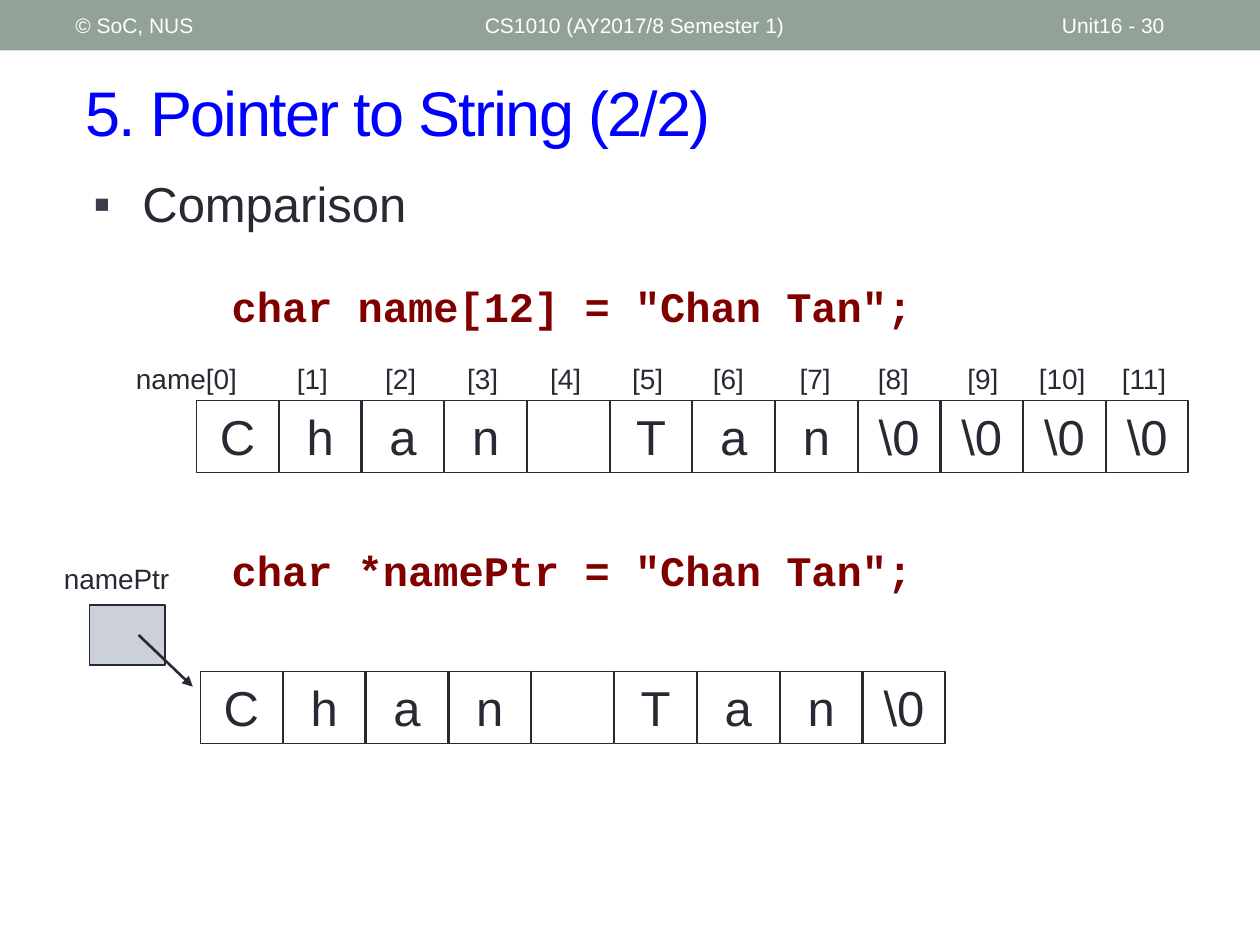
from dataclasses import dataclass

from pptx import Presentation
from pptx.dml.color import RGBColor
from pptx.enum.shapes import MSO_CONNECTOR, MSO_SHAPE
from pptx.enum.text import MSO_ANCHOR, MSO_AUTO_SIZE, PP_ALIGN
from pptx.oxml.ns import qn
from pptx.util import Inches, Pt
from lxml.etree import SubElement

BANNER = RGBColor(0x93, 0xA2, 0x99)
INK = RGBColor(0x29, 0x29, 0x34)
BLUE = RGBColor(0x00, 0x00, 0xFF)
MAROON = RGBColor(0x80, 0x00, 0x00)
POINTER_FILL = RGBColor(0xCC, 0xD1, 0xD9)
WHITE = RGBColor(0xFF, 0xFF, 0xFF)


def text_format(size: float, color: RGBColor, name: str = "Arial", bold: bool = False) -> dict:
    return {"size": Pt(size), "color": color, "name": name, "bold": bold}


TITLE = text_format(36, BLUE)
BULLET = text_format(28, INK)
CELL = text_format(28, INK)
LABEL = text_format(16, INK)
HEADER = text_format(12, WHITE)
CODE = text_format(24, MAROON, "Courier New", True)


@dataclass
class Area:
    left: float
    top: float
    width: float
    height: float

    def lengths(self) -> list:
        return [Inches(n) for n in (self.left, self.top, self.width, self.height)]


@dataclass
class CharArray:
    chars: list
    left: float
    last_left: float
    top: float


def write(box, text: str, look: dict, align=PP_ALIGN.LEFT, anchor=MSO_ANCHOR.TOP, wrap=True):
    frame = box.text_frame
    settings = {"word_wrap": wrap, "auto_size": MSO_AUTO_SIZE.NONE, "vertical_anchor": anchor}
    for key, value in settings.items():
        setattr(frame, key, value)
    para = frame.paragraphs[0]
    para.alignment = align
    para.space_before = Pt(0)
    span = para.add_run()
    span.text = text
    for key, value in look.items():
        if key == "color":
            span.font.color.rgb = value
        else:
            setattr(span.font, key, value)
    return span


def fill_placeholder(box, area: Area, text: str, look: dict, anchor):
    box.left, box.top, box.width, box.height = area.lengths()
    return write(box, text, look, anchor=anchor)


def add_text(page, area: Area, text: str, look: dict, **layout):
    box = page.shapes.add_textbox(*area.lengths())
    write(box, text, look, **layout)
    return box


def add_rectangle(page, area: Area, fill=None, line_width: float = 0):
    box = page.shapes.add_shape(MSO_SHAPE.RECTANGLE, *area.lengths())
    box.shadow.inherit = False
    if fill is None:
        box.fill.background()
    else:
        box.fill.solid()
        box.fill.fore_color.rgb = fill
    if line_width:
        box.line.color.rgb = INK
        box.line.width = Pt(line_width)
    else:
        box.line.fill.background()
    return box


def add_array(page, array: CharArray) -> None:
    pitch = (array.last_left - array.left) / (len(array.chars) - 1)
    for index, char in enumerate(array.chars):
        area = Area(array.left + index * pitch, array.top, 0.65, 0.57)
        box = add_rectangle(page, area, line_width=0.75)
        if char:
            write(box, char, CELL, align=PP_ALIGN.CENTER)


def add_arrow(page, start: tuple, end: tuple) -> None:
    arrow = page.shapes.add_connector(
        MSO_CONNECTOR.STRAIGHT, *[Inches(n) for n in (*start, *end)])
    arrow.line.color.rgb = INK
    arrow.line.width = Pt(1.5)
    SubElement(arrow.line._get_or_add_ln(), qn("a:tailEnd"), type="triangle")
    SubElement(arrow._element.spPr, qn("a:effectLst"))


def add_bullet(para) -> None:
    properties = para._p.get_or_add_pPr()
    properties.set("marL", str(Inches(0.39)))
    properties.set("indent", str(-Inches(0.39)))
    color = SubElement(properties, qn("a:buClr"))
    SubElement(color, qn("a:srgbClr"), val="3B3B4B")
    SubElement(properties, qn("a:buFont"), typeface="Arial")
    SubElement(properties, qn("a:buChar"), char="▪")


def main() -> None:
    deck = Presentation()
    deck.slide_width, deck.slide_height = Inches(10), Inches(7.5)
    page = deck.slides.add_slide(deck.slide_layouts[1])

    # Header band
    add_rectangle(page, Area(0, 0, 10, 0.4), BANNER)
    for left, width, text in [
        (0.5, 3.17, "© SoC, NUS"),
        (3.75, 4.5, "CS1010 (AY2017/8 Semester 1)"),
        (8.33, 1.17, "Unit16 - 30"),
    ]:
        add_text(page, Area(left, 0.02, width, 0.36), text, HEADER, anchor=MSO_ANCHOR.MIDDLE)

    # Title and bullet
    title, body = page.placeholders
    span = fill_placeholder(title, Area(0.58, 0.42, 9.17, 0.92),
                            "5. Pointer to String (2/2)", TITLE, MSO_ANCHOR.MIDDLE)
    span.font._element.set("spc", "-100")
    add_bullet(body.text_frame.paragraphs[0])
    fill_placeholder(body, Area(0.64, 1.33, 9, 0.56), "Comparison", BULLET, MSO_ANCHOR.TOP)

    # Declarations
    for top, width, code in [
        (2.18, 6.05, 'char name[12] = "Chan Tan";'),
        (4.27, 6.28, 'char *namePtr = "Chan Tan";'),
    ]:
        box = add_rectangle(page, Area(1.74, top, width, 0.5), WHITE)
        write(box, code, CODE)

    # Character arrays
    letters = ["C", "h", "a", "n", "", "T", "a", "n"]
    add_array(page, CharArray(letters + ["\\0"] * 4, 1.56, 8.78, 3.18))
    add_array(page, CharArray(letters + ["\\0"], 1.59, 6.85, 5.33))

    # Index labels, placed by their centres
    centres = [1.48, 2.48, 3.18, 3.83, 4.49, 5.14, 5.78, 6.47, 7.09, 7.8, 8.43, 9.08]
    for index, centre in enumerate(centres):
        text = f"[{index}]" if index else "name[0]"
        width = 1.03 if index == 0 else 0.45 if index < 10 else 0.62
        add_text(page, Area(centre - width / 2, 2.82, width, 0.37), text, LABEL,
                 align=PP_ALIGN.CENTER, wrap=False)

    # Pointer
    add_text(page, Area(0.35, 4.41, 1.15, 0.37), "namePtr", LABEL,
             align=PP_ALIGN.CENTER, wrap=False)
    add_rectangle(page, Area(0.71, 4.8, 0.6, 0.48), POINTER_FILL, 1)
    add_arrow(page, (1.1, 5.04), (1.53, 5.45))

    deck.save("out.pptx")


if __name__ == "__main__":
    main()
